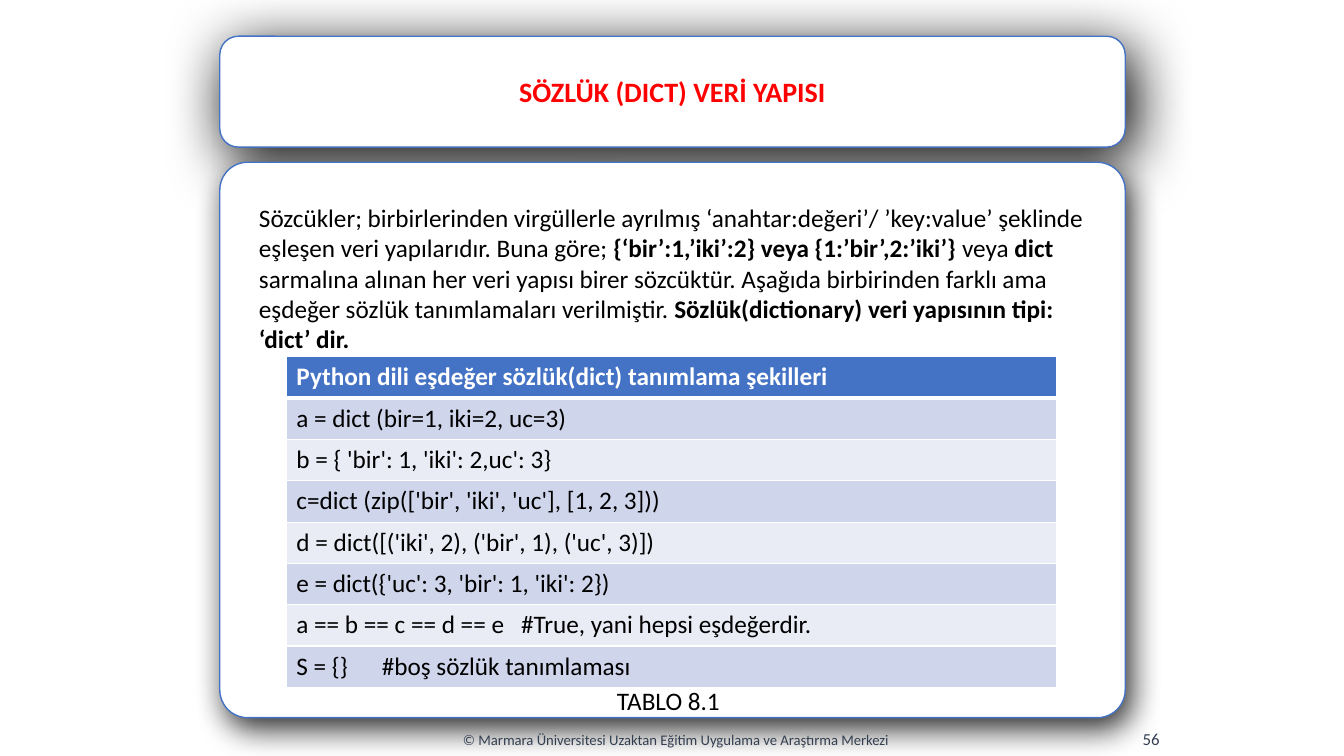
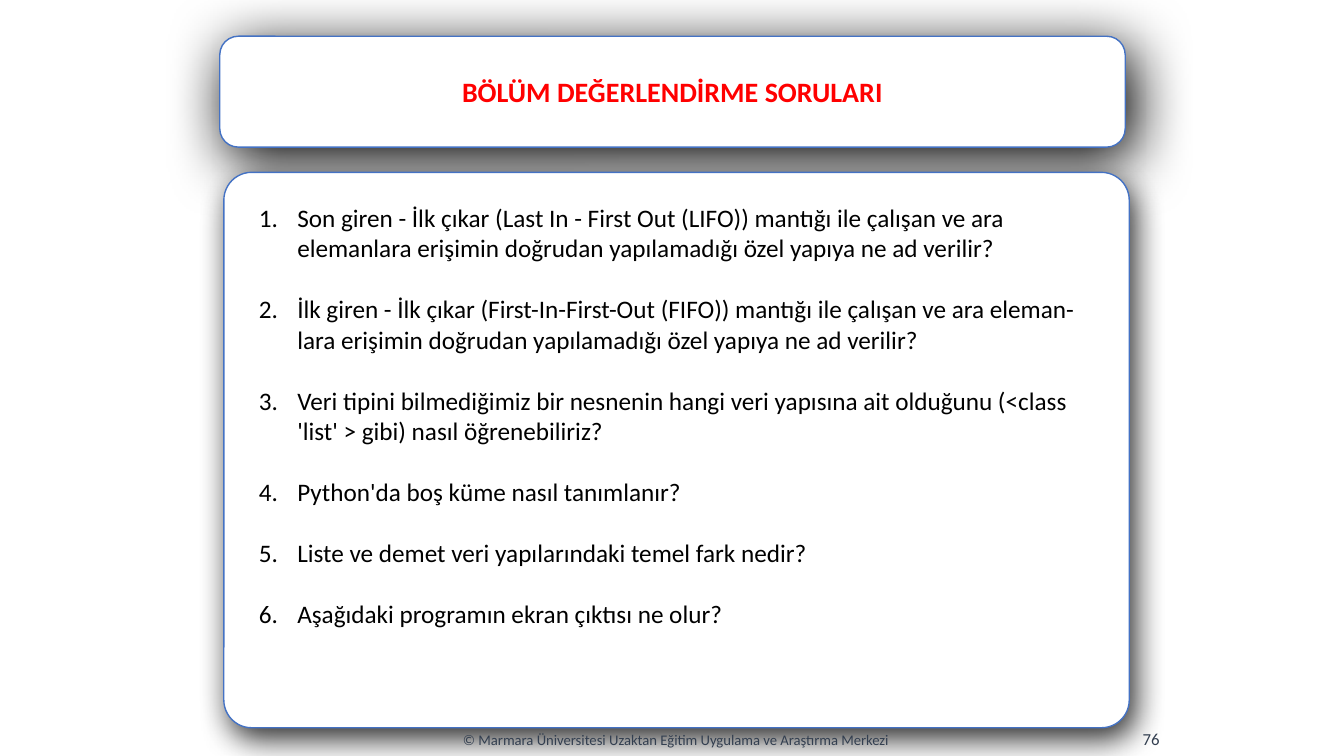
from lxml.etree import SubElement
from pptx import Presentation
from pptx.dml.color import RGBColor
from pptx.enum.shapes import MSO_SHAPE as Shape
from pptx.enum.text import MSO_ANCHOR as Anchor, PP_ALIGN as Align
from pptx.oxml.ns import qn
from pptx.util import Inches, Pt

COLORS = {
    "white": "FFFFFF", "black": "000000", "accent": "4472C4", "title": "FF0000",
    "footer": "333F50", "band_dark": "CFD5EA", "band_light": "E9EBF5",
}
FONT = "Calibri"
FOOTER = "© Marmara Üniversitesi Uzaktan Eğitim Uygulama ve Araştırma Merkezi"
PANEL_SIZE = (8.98, 5.51)
TITLE_SHADOW = {"alpha": 99, "blur": 43, "distance": 9, "angle": 60}
PANEL_SHADOW = {"alpha": 81, "blur": 23, "distance": 9, "angle": 64}

DICT_TITLE = "SÖZLÜK (DICT) VERİ YAPISI"
DICT_INTRO = [
    ("Sözcükler; birbirlerinden virgüllerle ayrılmış ‘anahtar:değeri’/ ’key:value’ şeklinde "
     "eşleşen veri yapılarıdır. Buna göre; ", False),
    ("{‘bir’:1,’iki’:2} veya {1:’bir’,2:’iki’} ", True),
    ("veya ", False),
    ("dict ", True),
    ("sarmalına alınan her veri yapısı birer sözcüktür. Aşağıda birbirinden farklı ama "
     "eşdeğer sözlük tanımlamaları verilmiştir. ", False),
    ("Sözlük(dictionary) veri yapısının tipi: ‘dict’ dir.", True),
]
DICT_ROWS = [
    "Python dili eşdeğer sözlük(dict) tanımlama şekilleri",
    "a = dict (bir=1, iki=2, uc=3)",
    "b = { 'bir': 1, 'iki': 2,uc': 3}",
    "c=dict (zip(['bir', 'iki', 'uc'], [1, 2, 3]))",
    "d = dict([('iki', 2), ('bir', 1), ('uc', 3)])",
    "e = dict({'uc': 3, 'bir': 1, 'iki': 2})",
    "a == b == c == d == e   #True, yani hepsi eşdeğerdir.",
    "S = {}      #boş sözlük tanımlaması",
]
DICT_CAPTION = "TABLO 8.1"

QUESTIONS_TITLE = "BÖLÜM DEĞERLENDİRME SORULARI"
QUESTIONS = [
    "Son giren - İlk çıkar (Last In - First Out (LIFO)) mantığı ile çalışan ve ara "
    "elemanlara erişimin doğrudan yapılamadığı özel yapıya ne ad verilir?",
    "İlk giren - İlk çıkar (First-In-First-Out (FIFO)) mantığı ile çalışan ve ara eleman- "
    "lara erişimin doğrudan yapılamadığı özel yapıya ne ad verilir?",
    "Veri tipini bilmediğimiz bir nesnenin hangi veri yapısına ait olduğunu (<class "
    "'list' > gibi) nasıl öğrenebiliriz?",
    "Python'da boş küme nasıl tanımlanır?",
    "Liste ve demet veri yapılarındaki temel fark nedir?",
    "Aşağıdaki programın ekran çıktısı ne olur?",
]


def color(name):
    return RGBColor.from_string(COLORS[name])


def add_run(paragraph, text, size=18, ink="black", bold=False):
    run = paragraph.add_run()
    run.text = text
    run.font.name = FONT
    run.font.size = Pt(size)
    run.font.bold = bold
    run.font.color.rgb = color(ink)


def add_text_box(slide, box, anchor=Anchor.TOP):
    frame = slide.shapes.add_textbox(*map(Inches, box)).text_frame
    frame.word_wrap = True
    frame.vertical_anchor = anchor
    return frame


def add_line(slide, box, text, size=18, ink="black", align=Align.LEFT, anchor=Anchor.TOP):
    paragraph = add_text_box(slide, box, anchor).paragraphs[0]
    paragraph.alignment = align
    add_run(paragraph, text, size, ink)


def add_shadow(shape, alpha, blur, distance, angle):
    shape.shadow.inherit = False
    effects = shape._element.spPr.find(qn("a:effectLst"))
    shadow = SubElement(effects, qn("a:outerShdw"), blurRad=str(Pt(blur)), dist=str(Pt(distance)),
                        dir=str(angle * 60000), algn="ctr", rotWithShape="0")
    tint = SubElement(shadow, qn("a:srgbClr"), val=COLORS["black"])
    SubElement(tint, qn("a:alpha"), val=str(alpha * 1000))


def add_card(slide, box, shadow):
    card = slide.shapes.add_shape(Shape.ROUNDED_RECTANGLE, *map(Inches, box))
    card.fill.solid()
    card.fill.fore_color.rgb = color("white")
    card.line.color.rgb = color("accent")
    card.line.width = Pt(1)
    add_shadow(card, **shadow)
    return card


def add_page(presentation, title, number, panel_left, panel_top):
    slide = presentation.slides.add_slide(presentation.slide_layouts[6])
    title_card = add_card(slide, (2.18, 0.36, 8.98, 1.1), TITLE_SHADOW)
    title_card.text_frame.vertical_anchor = Anchor.MIDDLE
    paragraph = title_card.text_frame.paragraphs[0]
    paragraph.alignment = Align.CENTER
    add_run(paragraph, title, 20, "title", True)
    panel = add_card(slide, (panel_left, panel_top, *PANEL_SIZE), PANEL_SHADOW)
    panel.adjustments[0] = 0.05
    add_line(slide, (3.75, 7.14, 5.91, 0.4), FOOTER, 10.5, "footer", Align.CENTER, Anchor.MIDDLE)
    add_line(slide, (9.27, 7.13, 2.33, 0.4), number, 12, "footer", Align.RIGHT, Anchor.MIDDLE)
    return slide


def set_borders(cell, widths):
    properties = cell._tc.get_or_add_tcPr()
    for side, width in widths.items():
        border = SubElement(properties, qn(f"a:ln{side}"), w=str(Pt(width)))
        fill = SubElement(border, qn("a:solidFill"))
        SubElement(fill, qn("a:srgbClr"), val=COLORS["white"])


def add_definition_table(slide, rows, left, top, width, row_height):
    frame = slide.shapes.add_table(len(rows), 1, Inches(left), Inches(top),
                                   Inches(width), Inches(row_height * len(rows)))
    for index, text in enumerate(rows):
        header = index == 0
        frame.table.rows[index].height = Inches(row_height)
        cell = frame.table.cell(index, 0)
        set_borders(cell, {"L": 1, "R": 1, "T": 3 if index == 1 else 1, "B": 3 if header else 1})
        band = "accent" if header else "band_dark" if index % 2 else "band_light"
        cell.fill.solid()
        cell.fill.fore_color.rgb = color(band)
        add_run(cell.text_frame.paragraphs[0], text, ink="white" if header else "black", bold=header)


def add_numbered_list(slide, box, items):
    frame = add_text_box(slide, box)
    for index, text in enumerate(items):
        paragraph = frame.add_paragraph() if index else frame.paragraphs[0]
        properties = paragraph._p.get_or_add_pPr()
        properties.set("marL", str(Inches(0.38)))
        properties.set("indent", str(-Inches(0.38)))
        SubElement(properties, qn("a:buFont"), typeface="+mj-lt")
        SubElement(properties, qn("a:buAutoNum"), type="arabicPeriod")
        if index:
            paragraph.space_before = Pt(22)
        add_run(paragraph, text)


def build_dict_slide(presentation):
    slide = add_page(presentation, DICT_TITLE, "56", 2.18, 1.61)
    paragraph = add_text_box(slide, (2.47, 1.96, 8.38, 1.62)).paragraphs[0]
    for text, bold in DICT_INTRO:
        add_run(paragraph, text, bold=bold)
    add_definition_table(slide, DICT_ROWS, 2.84, 3.54, 7.64, 0.41)
    add_line(slide, (6.02, 6.75, 1.39, 0.4), DICT_CAPTION)


def build_questions_slide(presentation):
    slide = add_page(presentation, QUESTIONS_TITLE, "76", 2.22, 1.71)
    add_numbered_list(slide, (2.47, 1.96, 8.38, 4.34), QUESTIONS)


def main():
    presentation = Presentation()
    presentation.slide_width = Inches(13.33)
    presentation.slide_height = Inches(7.5)
    build_dict_slide(presentation)
    build_questions_slide(presentation)
    presentation.save("out.pptx")


if __name__ == "__main__":
    main()
